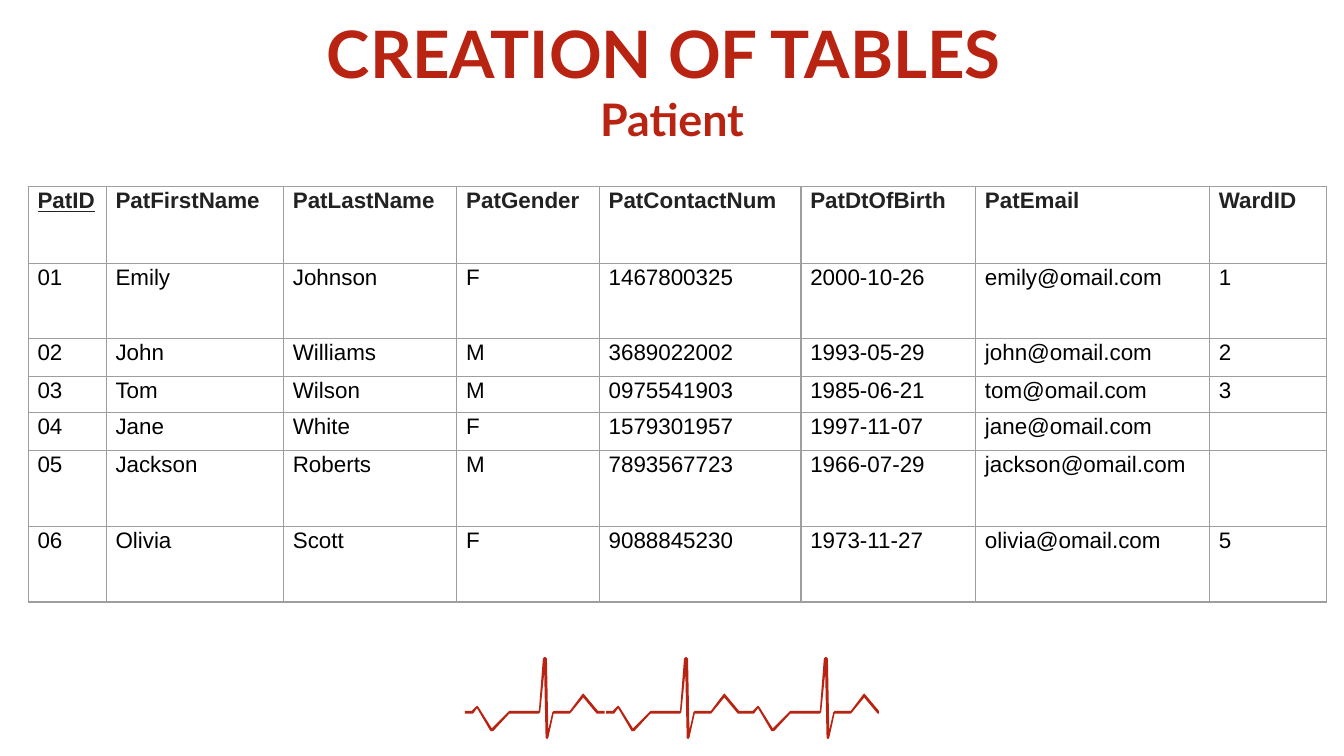
from lxml import etree
from pptx import Presentation
from pptx.dml.color import RGBColor
from pptx.enum.text import MSO_ANCHOR, MSO_AUTO_SIZE, PP_ALIGN
from pptx.oxml.ns import qn
from pptx.util import Inches, Pt

RED = RGBColor(0xB8, 0x23, 0x12)
DARK = RGBColor(0x22, 0x22, 0x22)
BLACK = RGBColor(0, 0, 0)
WHITE = RGBColor(0xFF, 0xFF, 0xFF)
GRAY = "9E9E9E"
TOP, NO_FIT, CENTER = MSO_ANCHOR.TOP, MSO_AUTO_SIZE.NONE, PP_ALIGN.CENTER

# Content
TITLE = [("CREATION OF TABLES ", 35), ("Patient", 24)]
HEAD = ["PatID", "PatFirstName", "PatLastName", "PatGender",
        "PatContactNum", "PatDtOfBirth", "PatEmail", "WardID"]
ROWS = [
    ["01", "Emily", "Johnson", "F", "1467800325", "2000-10-26", "emily@omail.com", "1"],
    ["02", "John", "Williams", "M", "3689022002", "1993-05-29", "john@omail.com", "2"],
    ["03", "Tom", "Wilson", "M", "0975541903", "1985-06-21", "tom@omail.com", "3"],
    ["04", "Jane", "White", "F", "1579301957", "1997-11-07", "jane@omail.com", ""],
    ["05", "Jackson", "Roberts", "M", "7893567723", "1966-07-29", "jackson@omail.com", ""],
    ["06", "Olivia", "Scott", "F", "9088845230", "1973-11-27", "olivia@omail.com", "5"],
]
WIDTHS = [0.58, 1.32, 1.29, 1.06, 1.5, 1.3, 1.74, 0.87]
HEIGHTS = [0.57, 0.56, 0.28, 0.27, 0.27, 0.57, 0.56]

# One heartbeat: x from the start of the beat, y on the slide
BEAT = [
    (0.6, 4.89), (0.61, 4.9), (0.62, 5.43), (0.65, 5.3), (0.66, 5.29),
    (0.78, 5.29), (0.87, 5.17), (0.88, 5.16), (0.89, 5.17), (0.99, 5.29),
    (1.04, 5.29), (1.04, 5.31), (0.98, 5.31), (0.88, 5.19), (0.79, 5.3),
    (0.78, 5.31), (0.66, 5.31), (0.62, 5.49), (0.61, 5.5), (0.6, 5.49),
    (0.59, 5.01), (0.56, 5.3), (0.55, 5.31), (0.33, 5.31), (0.21, 5.44),
    (0.19, 5.44), (0.09, 5.27), (0.06, 5.31), (0, 5.31), (0, 5.29),
    (0.05, 5.29), (0.08, 5.26), (0.09, 5.25), (0.1, 5.26), (0.2, 5.42),
    (0.32, 5.3), (0.33, 5.29), (0.55, 5.29), (0.58, 4.9), (0.59, 4.89),
]
BEATS = [(5.55, 0.99), (4.51, 1.04), (3.46, 1.04)]  # left, width


def style(font, color, **values):
    font.color.rgb = color
    for key, value in values.items():
        setattr(font, key, value)


def add_borders(cell):
    props = cell._tc.get_or_add_tcPr()
    for side in ("a:lnL", "a:lnR", "a:lnT", "a:lnB"):
        line = etree.SubElement(props, qn(side), w=str(Pt(0.75)))
        fill = etree.SubElement(line, qn("a:solidFill"))
        etree.SubElement(fill, qn("a:srgbClr"), val=GRAY)


# Slide, 16 by 9
deck = Presentation()
deck.slide_width, deck.slide_height = Inches(10), Inches(10 * 9 / 16)
slide = deck.slides.add_slide(deck.slide_layouts[5])

# Heartbeat line
for left, width in BEATS:
    points = [(Inches(left + min(x, width)), Inches(y)) for x, y in BEAT]
    build = slide.shapes.build_freeform(*points[0])
    build.add_line_segments(points[1:], close=True)
    beat = build.convert_to_shape()
    beat.shadow.inherit = False
    beat.fill.solid()
    beat.fill.fore_color.rgb = RED
    beat.line.fill.background()

# Title
title = slide.shapes.title
title.left, title.top = Inches(0.79), Inches(0)
title.width, title.height = Inches(8.42), Inches(0.72)
frame = title.text_frame
FRAME = dict(word_wrap=True, auto_size=NO_FIT, vertical_anchor=TOP,
             margin_left=Inches(0.1), margin_right=Inches(0.1),
             margin_top=Inches(0.1), margin_bottom=Inches(0.1))
for key, value in FRAME.items():
    setattr(frame, key, value)
para = frame.paragraphs[0]
para.alignment, para.line_spacing = CENTER, 1.0
for i, (text, size) in enumerate(TITLE):
    if i:
        para.add_line_break()
    run = para.add_run()
    run.text = text
    style(run.font, RED, name="Lato", size=Pt(size), bold=True)

# Patient table
grid = [HEAD] + ROWS
table = slide.shapes.add_table(
    len(grid), len(HEAD), Inches(0.21), Inches(1.39),
    Inches(sum(WIDTHS)), Inches(sum(HEIGHTS))).table
table.first_row = table.horz_banding = False
for col, width in zip(table.columns, WIDTHS):
    col.width = Inches(width)
for row, height in zip(table.rows, HEIGHTS):
    row.height = Inches(height)

CELL = dict(margin_left=Inches(0.07), margin_right=Inches(0.07),
            margin_top=0, margin_bottom=0, vertical_anchor=TOP)
for r, line in enumerate(grid):
    for c, text in enumerate(line):
        cell = table.cell(r, c)
        head = r == 0
        for key, value in CELL.items():
            setattr(cell, key, value)
        add_borders(cell)
        if head:
            cell.fill.solid()
            cell.fill.fore_color.rgb = WHITE
        else:
            cell.fill.background()
        para = cell.text_frame.paragraphs[0]
        para.line_spacing = 1.07
        run = para.add_run()
        run.text = text
        style(run.font, DARK if head else BLACK, name="Arial", size=Pt(12),
              bold=head, underline=head and c == 0)

deck.save("out.pptx")
